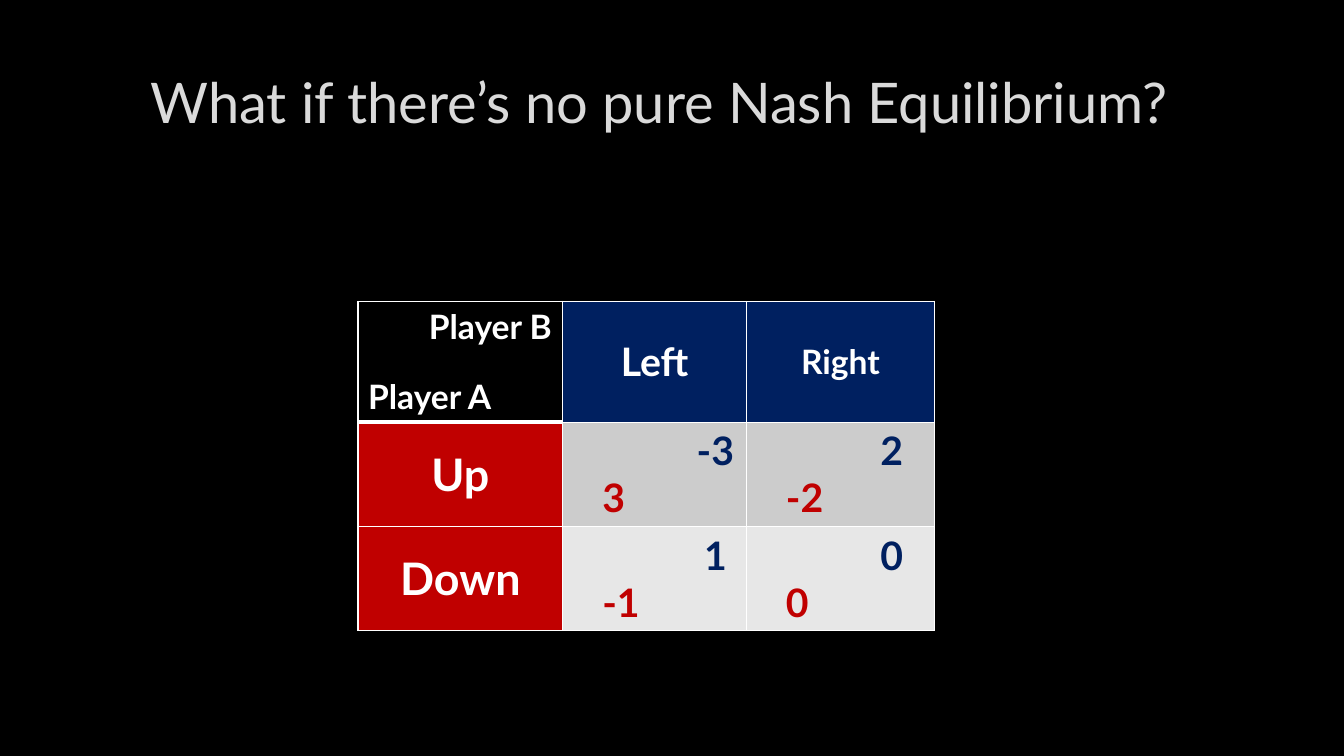
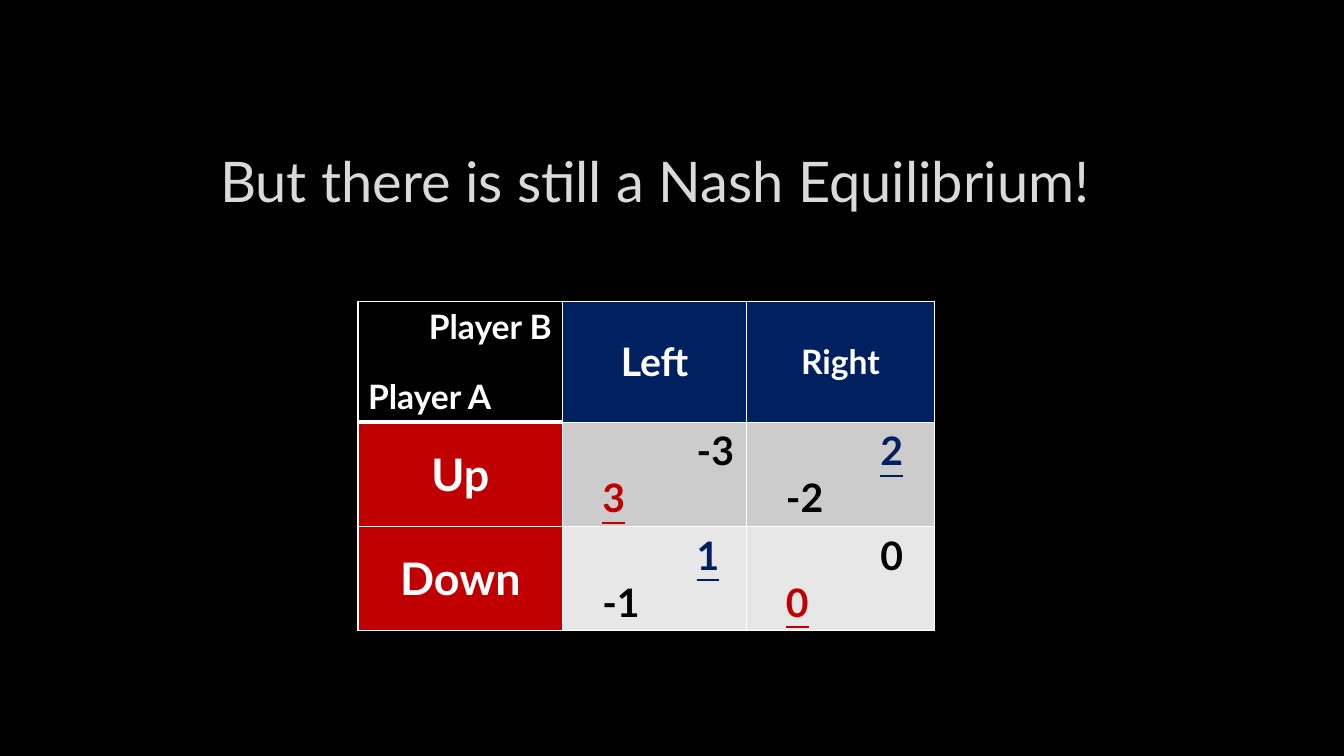
from lxml import etree
from pptx import Presentation, util as u
from pptx.dml.color import RGBColor
from pptx.enum import text
from pptx.oxml import parse_xml
from pptx.oxml.ns import nsdecls

PX = 9525
COLORS = {
    "black": "000000",
    "white": "FFFFFF",
    "title": "DADADA",
    "outline": "404040",
    "player_a": "C00000",
    "player_b": "002060",
    "up_row": "CCCCCC",
    "down_row": "E7E7E7",
}
COLUMNS = [195, 175, 179]
ROWS = [115, 99, 99]
TABLE_LEFT, TABLE_TOP = 341, 287
INDENT_A, INDENT_B = 28, 118
CENTER, LEFT = text.PP_ALIGN.CENTER, text.PP_ALIGN.LEFT
MIDDLE, TOP, BOTTOM = text.MSO_ANCHOR.MIDDLE, text.MSO_ANCHOR.TOP, text.MSO_ANCHOR.BOTTOM

LABELS = [
    (0, 0, "Player A", 24, "black", LEFT, BOTTOM),
    (0, 1, "Left", 28, "player_b", CENTER, MIDDLE),
    (0, 2, "Right", 24, "player_b", CENTER, MIDDLE),
    (1, 0, "Up", 32, "player_a", CENTER, MIDDLE),
    (2, 0, "Down", 32, "player_a", CENTER, MIDDLE),
]
PAYOFFS = [[(3, -3), (-2, 2)], [(-1, 1), (0, 0)]]
PAGES = [
    {"title": "What if there’s no pure Nash Equilibrium?", "at": (84, 45),
     "show_best": False, "nudges": {(1, 0): 7}},
    {"title": "But there is still a Nash Equilibrium!", "at": (80, 121),
     "show_best": True, "nudges": {}},
]


def write(para, words, size, color, align=LEFT, indent=0, **formats):
    para.alignment = align
    if indent:
        props = para._p.get_or_add_pPr()
        props.set("marL", str(indent * PX))
        props.set("indent", "0")
    span = para.add_run()
    span.text = words
    values = {"name": "Lato", "size": u.Pt(size), "bold": True} | formats
    for name, value in values.items():
        setattr(span.font, name, value)
    span.font.color.rgb = RGBColor.from_string(COLORS[color])
    return span


def line_xml(tag, width, color, alpha=100):
    return parse_xml(
        f'<a:{tag} {nsdecls("a")} w="{int(width * 12700)}"><a:solidFill>'
        f'<a:srgbClr val="{COLORS[color]}"><a:alpha val="{alpha * 1000}"/></a:srgbClr>'
        f'</a:solidFill><a:prstDash val="solid"/></a:{tag}>')


deck = Presentation()
deck.slide_width, deck.slide_height = 1280 * PX, 720 * PX
background = deck.slide_master.background.fill
background.solid()
background.fore_color.rgb = RGBColor.from_string(COLORS["black"])

for plan in PAGES:
    page = deck.slides.add_slide(deck.slide_layouts[5])
    title = page.shapes.title
    left, top = plan["at"]
    place = {"left": left, "top": top, "width": 1087, "height": 102}
    for name, value in place.items():
        setattr(title, name, value * PX)
    title.text_frame.auto_size = text.MSO_AUTO_SIZE.NONE
    title.text_frame.vertical_anchor = MIDDLE
    span = write(title.text_frame.paragraphs[0], plan["title"], 40, "title", CENTER, bold=False)
    span.font._element.insert(0, line_xml("ln", 0.75, "outline", 10))

    frame = page.shapes.add_table(3, 3, TABLE_LEFT * PX, TABLE_TOP * PX,
                                  sum(COLUMNS) * PX, sum(ROWS) * PX)
    table = frame.table
    for column, width in zip(table.columns, COLUMNS):
        column.width = width * PX
    for row, height in zip(table.rows, ROWS):
        row.height = height * PX

    fills = {}
    for r, c, words, size, fill, align, anchor in LABELS:
        cell = table.cell(r, c)
        cell.vertical_anchor = anchor
        write(cell.text_frame.paragraphs[0], words, size, "white", align)
        fills[r, c] = fill

    for r, choices in enumerate(PAYOFFS):
        for c, (a, b) in enumerate(choices):
            cell = table.cell(r + 1, c + 1)
            cell.vertical_anchor = TOP
            fills[r + 1, c + 1] = ("up_row", "down_row")[r]
            best_a = a == max(other[c][0] for other in PAYOFFS)
            best_b = b == max(other[1] for other in choices)
            indent_b = INDENT_B + plan["nudges"].get((r, c), 0)
            entries = [(b, best_b, "player_b", indent_b), (a, best_a, "player_a", INDENT_A)]
            paras = [cell.text_frame.paragraphs[0], cell.text_frame.add_paragraph()]
            for para, (value, best, color, indent) in zip(paras, entries):
                marked = plan["show_best"] and best
                shown = color if marked or not plan["show_best"] else "black"
                write(para, str(value), 28, shown, indent=indent, underline=marked)

    for (r, c), fill in fills.items():
        cell = table.cell(r, c)
        cell.fill.solid()
        cell.fill.fore_color.rgb = RGBColor.from_string(COLORS[fill])
        under_header = 3 if c == 0 else 0.25
        borders = {"lnL": 1, "lnR": 1,
                   "lnT": under_header if r == 1 else 1,
                   "lnB": under_header if r == 0 else 1}
        for index, (tag, width) in enumerate(borders.items()):
            cell._tc.get_or_add_tcPr().insert(index, line_xml(tag, width, "white"))

    box = page.shapes.add_textbox(399 * PX, TABLE_TOP * PX, 164 * PX, 48 * PX)
    box.text_frame.word_wrap = True
    write(box.text_frame.paragraphs[0], "Player B", 24, "white")

deck.save("out.pptx")
